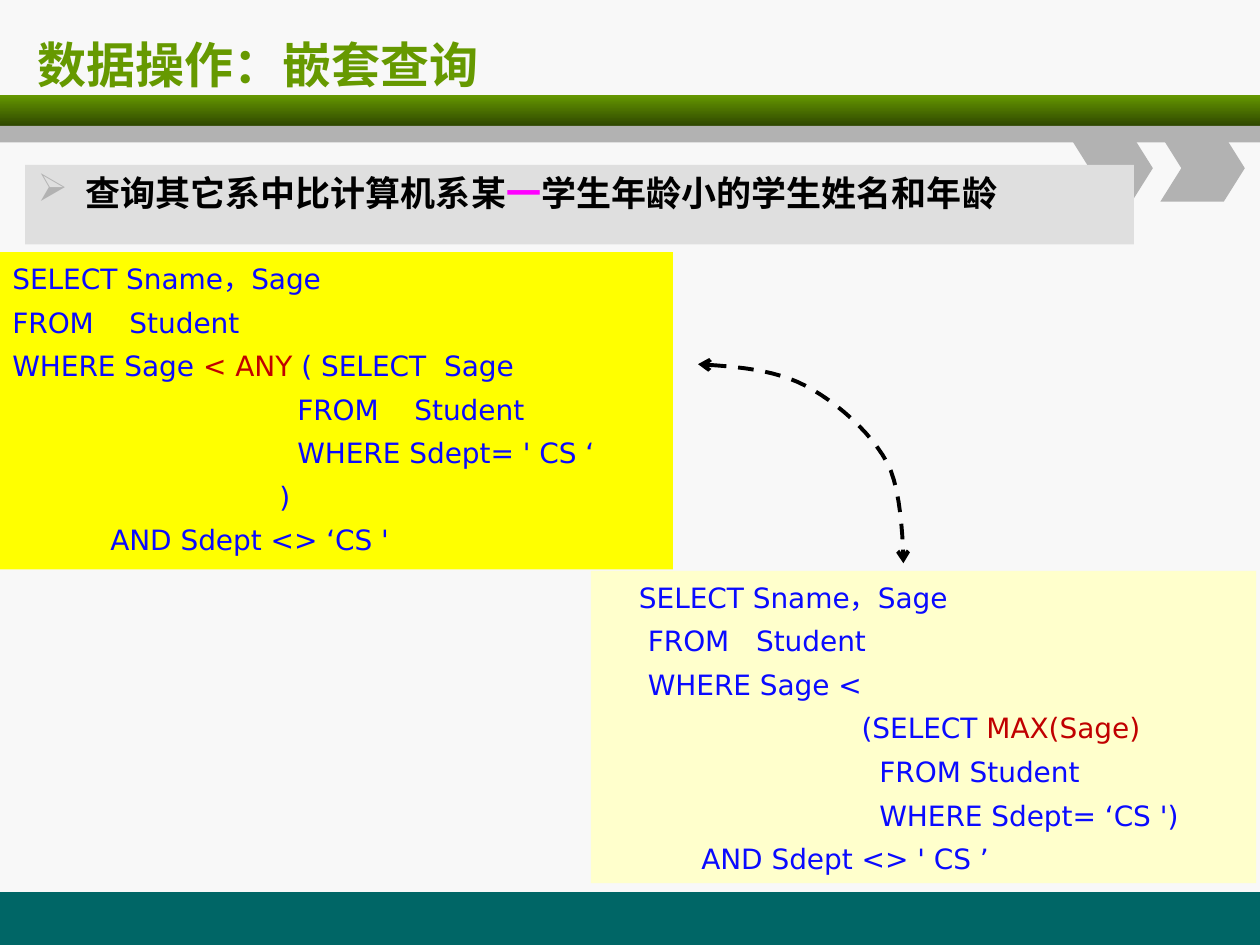
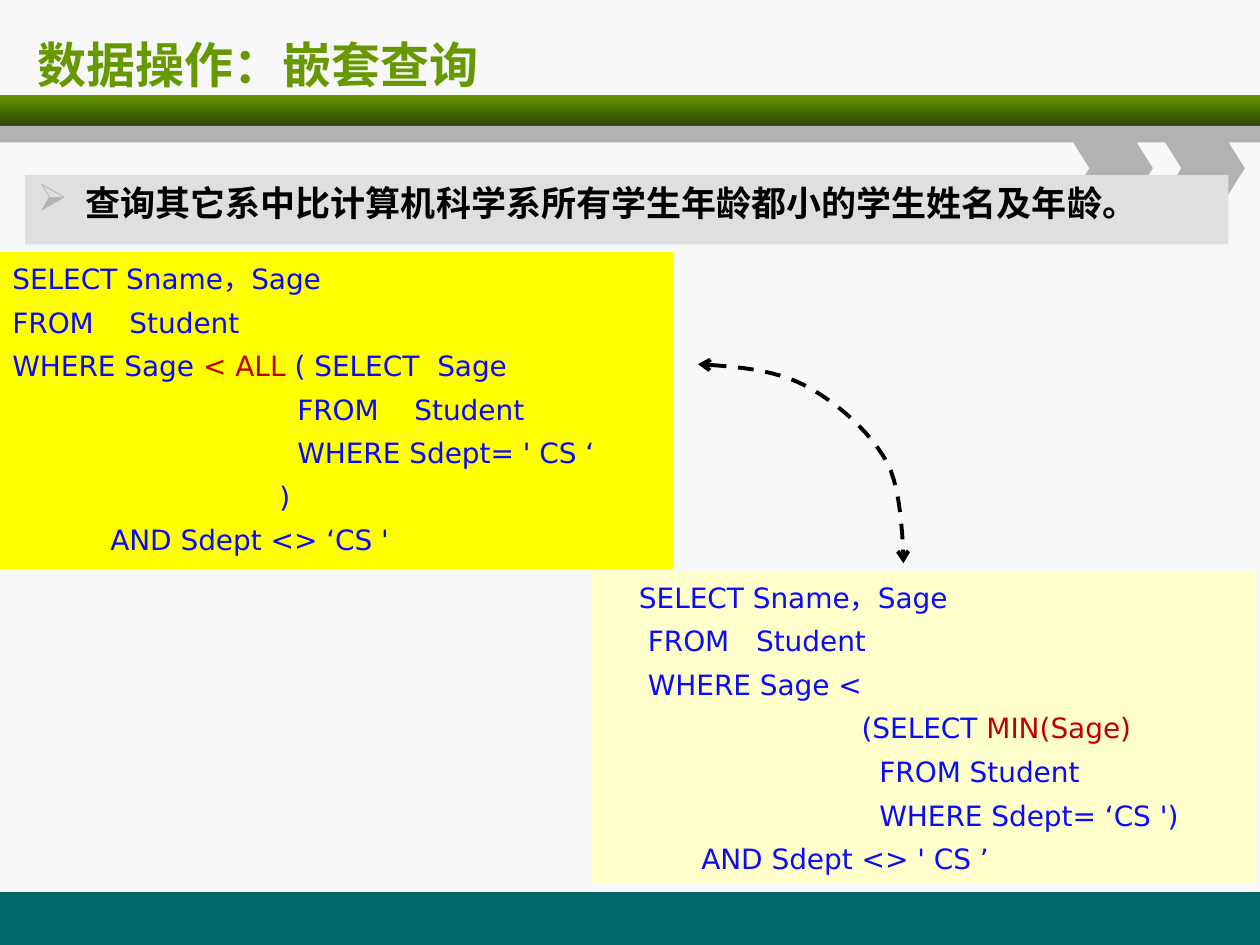
"""Build two slides that compare nested SQL queries with their aggregate forms."""
from lxml import etree
from pptx import Presentation
from pptx.dml.color import RGBColor
from pptx.enum.dml import MSO_LINE
from pptx.enum.shapes import MSO_SHAPE
from pptx.enum.text import MSO_ANCHOR, PP_ALIGN
from pptx.oxml.ns import qn
from pptx.util import Inches, Pt

TITLE = "数据操作：嵌套查询"
KEY = "*"
QUESTIONS = [
    {"ask": ["查询其它系中比计算机系某", "*一", "学生年龄小的学生姓名和年龄"],
     "ask_box": (0.2, 1.31, 8.8, 0.63), "quantifier": "ANY", "aggregate": "MAX"},
    {"ask": ["查询其它系中比计算机科学系所有学生年龄都小的学生姓名及年龄。"],
     "ask_box": (0.2, 1.39, 9.55, 0.55), "quantifier": "ALL", "aggregate": "MIN"},
]


def nested_query(quantifier):
    """Return code lines as (indent column, parts); a number is a gap in columns."""
    return [
        (0, ["SELECT Sname，Sage"]),
        (0, ["FROM", 4, "Student"]),
        (0, ["WHERE Sage ", f"*< {quantifier} ", "( SELECT", 2, "Sage"]),
        (32, ["FROM", 4, "Student"]),
        (32, ["WHERE Sdept= ' CS ‘"]),
        (30, [")"]),
        (11, ["AND Sdept <> ‘CS '"]),
    ]


def aggregate_query(aggregate):
    """Return the code lines of the equivalent query with an aggregate."""
    return [
        (4, ["SELECT Sname，Sage"]),
        (5, ["FROM", 3, "Student"]),
        (5, ["WHERE Sage <"]),
        (29, ["(SELECT ", f"*{aggregate}(Sage)"]),
        (31, ["FROM Student"]),
        (31, ["WHERE Sdept= ‘CS ')"]),
        (11, ["AND Sdept <> ' CS ’"]),
    ]


PAPER = RGBColor(0xF8, 0xF8, 0xF8)
TEAL = RGBColor(0x00, 0x66, 0x66)
GREEN = RGBColor(0x66, 0x99, 0x00)
DARK_GREEN = RGBColor(0x2F, 0x47, 0x00)
GREY = RGBColor(0xB2, 0xB2, 0xB2)
PALE_GREY = RGBColor(0xDF, 0xDF, 0xDF)
YELLOW = RGBColor(0xFF, 0xFF, 0x00)
CREAM = RGBColor(0xFF, 0xFF, 0xCC)
BLUE = RGBColor(0x0A, 0x0A, 0xFF)
RED = RGBColor(0xC0, 0x00, 0x00)
MAGENTA = RGBColor(0xFF, 0x00, 0xFF)
BLACK = RGBColor(0x00, 0x00, 0x00)

RECT, CHEVRON = MSO_SHAPE.RECTANGLE, MSO_SHAPE.CHEVRON
TOP, MIDDLE = MSO_ANCHOR.TOP, MSO_ANCHOR.MIDDLE
LEFT, DASH = PP_ALIGN.LEFT, MSO_LINE.DASH

WIDTH, HEIGHT = 10, 7.5
FONT = "DejaVu Sans"
CODE_SIZE = 16
COLUMN = CODE_SIZE * 0.318
HANG = Inches(0.38)
NESTED_BOX = (0, 2, 5.34, 2.52)
AGGREGATE_BOX = (4.69, 4.53, 5.28, 2.48)
LINK_START = (5.54, 2.89)
LINK_CURVES = [
    ((5.84, 2.91), (6.14, 2.93), (6.39, 3.06)),
    ((6.64, 3.19), (6.91, 3.43), (7.04, 3.67)),
    ((7.17, 3.9), (7.17, 4.47), (7.17, 4.47)),
]
CURVE_STEPS = 12


def add_block(slide, box, color, kind=RECT):
    """Add a filled preset shape without outline or shadow."""
    block = slide.shapes.add_shape(kind, *map(Inches, box))
    block.shadow.inherit = False
    block.fill.solid()
    block.fill.fore_color.rgb = color
    block.line.fill.background()
    return block


def frame_of(block, anchor=TOP):
    """Return the block's text frame, wrapped and anchored."""
    frame = block.text_frame
    frame.word_wrap = True
    frame.vertical_anchor = anchor
    return frame


def write(paragraph, parts, size, color, accent, bold=False):
    """Fill a paragraph with plain parts, accented parts and gaps."""
    paragraph.alignment = LEFT
    paragraph.font.name = FONT
    paragraph.font.size = Pt(size)
    paragraph.font.bold = bold
    for part in parts:
        run = paragraph.add_run()
        if isinstance(part, int):
            run.text = " "
            run.font.color.rgb = color
            run.font._element.set("spc", str(round((part - 1) * COLUMN * 100)))
        else:
            run.text = part.removeprefix(KEY)
            run.font.color.rgb = accent if part.startswith(KEY) else color


def add_bullet(paragraph):
    """Give a paragraph a hanging grey arrow bullet."""
    properties = paragraph._p.get_or_add_pPr()
    properties.set("marL", str(HANG))
    properties.set("indent", str(-HANG))
    tint = etree.SubElement(properties, qn("a:buClr"))
    etree.SubElement(tint, qn("a:srgbClr"), val=str(GREY))
    etree.SubElement(properties, qn("a:buSzPct"), val="110000")
    etree.SubElement(properties, qn("a:buChar"), char="➢")


def add_code(slide, box, color, lines):
    """Add a coloured panel of indented code lines."""
    frame = frame_of(add_block(slide, box, color))
    for number, (column, parts) in enumerate(lines):
        paragraph = frame.add_paragraph() if number else frame.paragraphs[0]
        paragraph._p.get_or_add_pPr().set("marL", str(Pt(column * COLUMN)))
        paragraph.line_spacing = 1.1
        paragraph.space_before = Pt(3.8)
        write(paragraph, parts, CODE_SIZE, BLUE, RED)


def curve_points():
    """Sample the cubic curves that link the two queries."""
    points, start = [], LINK_START
    for first, second, end in LINK_CURVES:
        for step in range(1, CURVE_STEPS + 1):
            t = step / CURVE_STEPS
            u = 1 - t
            points.append(tuple(
                Inches(u**3 * a + 3 * u * u * t * b + 3 * u * t * t * c + t**3 * d)
                for a, b, c, d in zip(start, first, second, end)))
        start = end
    return points


def add_link(slide):
    """Draw the dashed double arrow between the two queries."""
    builder = slide.shapes.build_freeform(*map(Inches, LINK_START))
    builder.add_line_segments(curve_points(), close=False)
    link = builder.convert_to_shape()
    link.shadow.inherit = False
    link.fill.background()
    link.line.color.rgb = BLACK
    link.line.width = Pt(2.25)
    link.line.dash_style = DASH
    outline = link.line._get_or_add_ln()
    for end in ("a:headEnd", "a:tailEnd"):
        etree.SubElement(outline, qn(end), type="arrow")


def add_frame(slide):
    """Add the background, bands, chevrons and title every slide shares."""
    slide.background.fill.solid()
    slide.background.fill.fore_color.rgb = PAPER
    add_block(slide, (0, 7.08, WIDTH, HEIGHT - 7.08), TEAL)
    band = add_block(slide, (0, 0.75, WIDTH, 0.25), GREEN)
    band.fill.gradient()
    band.fill.gradient_angle = 270
    for stop, color in zip(band.fill.gradient_stops, (GREEN, DARK_GREEN)):
        stop.color.rgb = color
    add_block(slide, (0, 1, WIDTH, 0.13), GREY)
    for left in (8.48, 9.21):
        chevron = add_block(slide, (left, 1.07, 0.67, 0.53), GREY, CHEVRON)
        chevron.adjustments[0] = 0.314
    heading = slide.shapes.add_textbox(*map(Inches, (0.2, 0.17, 9.55, 0.67)))
    write(frame_of(heading, MIDDLE).paragraphs[0], [TITLE], 28, GREEN, GREEN, True)


def add_question(deck, question):
    """Add one slide with a question and its two equivalent queries."""
    slide = deck.slides.add_slide(deck.slide_layouts[6])
    add_frame(slide)
    ask = frame_of(add_block(slide, question["ask_box"], PALE_GREY)).paragraphs[0]
    add_bullet(ask)
    ask.space_before = Pt(4.7)
    write(ask, question["ask"], 20, BLACK, MAGENTA, True)
    add_code(slide, NESTED_BOX, YELLOW, nested_query(question["quantifier"]))
    add_code(slide, AGGREGATE_BOX, CREAM, aggregate_query(question["aggregate"]))
    add_link(slide)


def main():
    """Build and save the deck."""
    deck = Presentation()
    deck.slide_width, deck.slide_height = Inches(WIDTH), Inches(HEIGHT)
    for question in QUESTIONS:
        add_question(deck, question)
    deck.save("out.pptx")


if __name__ == "__main__":
    main()
